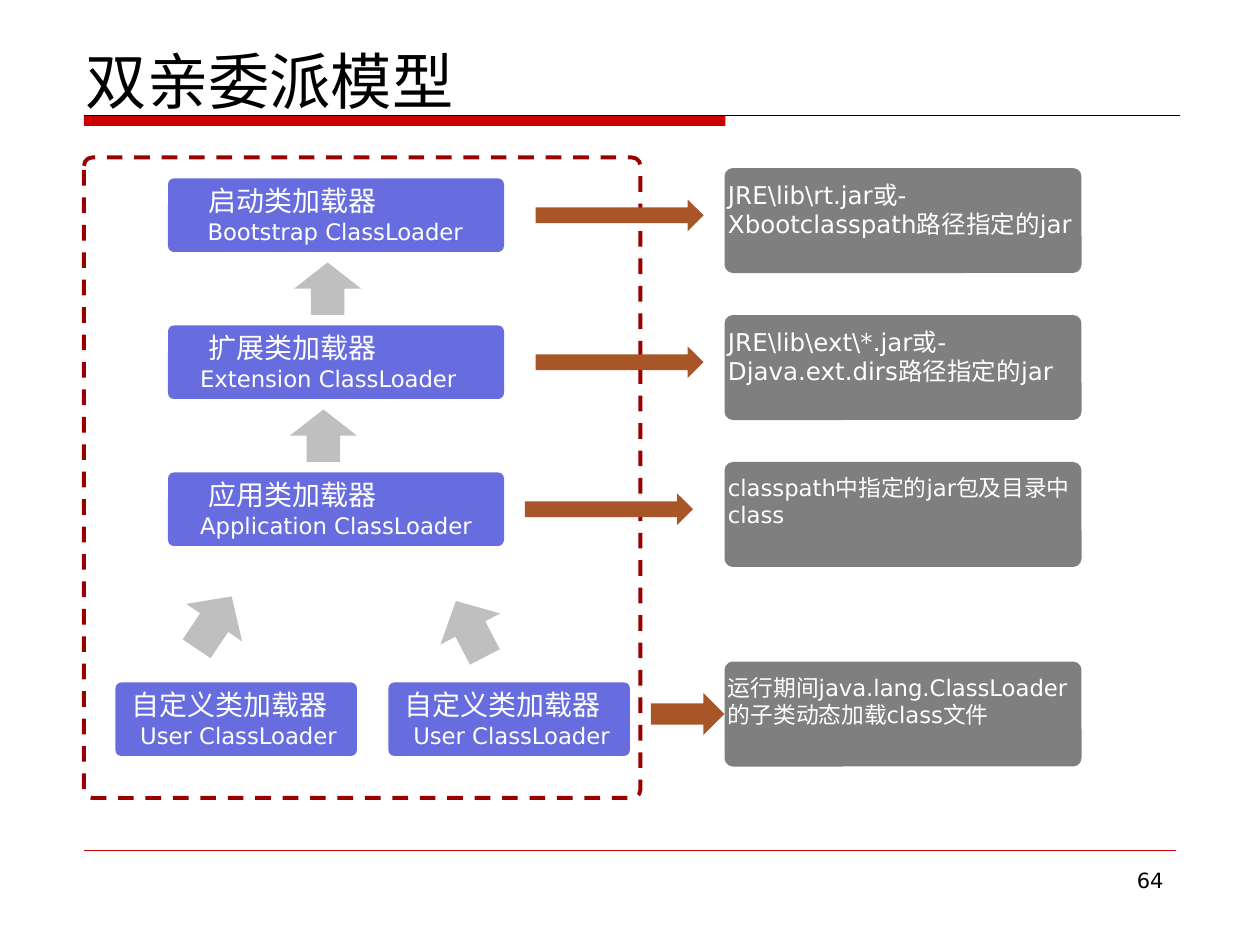
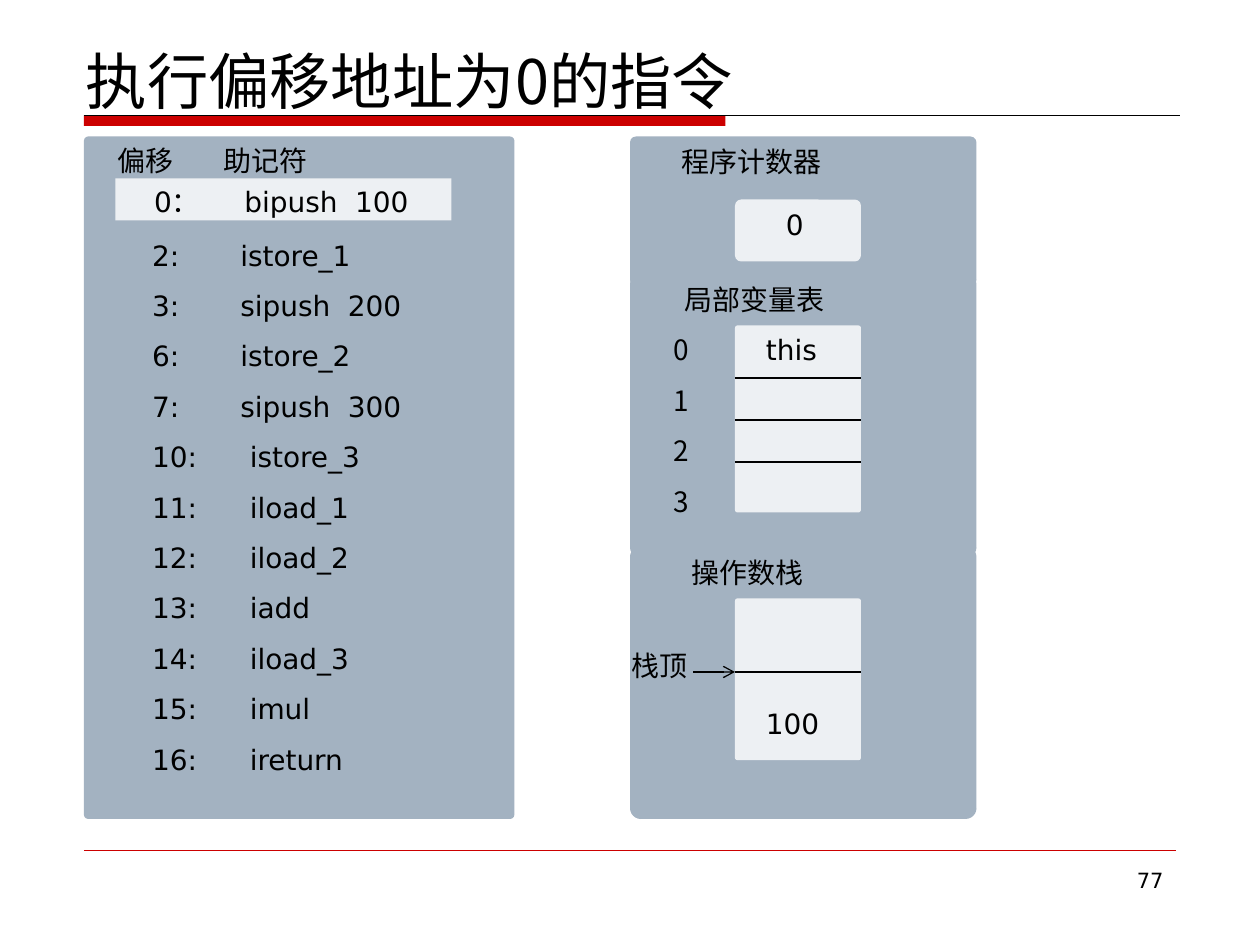
from dataclasses import dataclass

from lxml import etree
from pptx import Presentation
from pptx import util as u
from pptx.dml.color import RGBColor
from pptx.enum import dml, shapes, text
from pptx.oxml.ns import qn

COLUMNS, ROWS = 120, 90  # grid of the slide, twelve cells to the inch
SHAPE = shapes.MSO_SHAPE


@dataclass(frozen=True)
class Theme:
    black: str = "000000"
    white: str = "FFFFFF"
    red: str = "CC0000"
    dark_red: str = "990000"
    blue: str = "676DDF"
    gray: str = "7F7F7F"
    light_gray: str = "BFBFBF"
    brown: str = "A85628"
    panel: str = "A3B2C1"
    cell: str = "EDF0F3"
    latin: str = "DejaVu Sans"
    chinese: str = "Noto Sans CJK SC"
    title_size: float = 35
    body_size: float = 16
    note_size: float = 14
    small_size: float = 13
    number_size: float = 12
    row_pitch: float = 28.8


THEME = Theme()


@dataclass
class Line:
    """One paragraph; indent and tabs are in grid columns, spacing in points."""
    words: str
    size: float = THEME.body_size
    font: str = THEME.latin
    color: str = THEME.black
    indent: float = 0
    tabs: tuple = ()
    pitch: float = None
    before: float = None
    align: text.PP_ALIGN = None


def set_values(target, values):
    for name, value in values.items():
        if value is not None:
            setattr(target, name, value)


class Deck:
    def __init__(self, theme):
        self.theme = theme
        self.presentation = Presentation()
        set_values(self.presentation, {"slide_width": u.Inches(10), "slide_height": u.Inches(7.5)})
        self.slide = None

    def across(self, columns):
        return round(self.presentation.slide_width * columns / COLUMNS)

    def down(self, rows):
        return round(self.presentation.slide_height * rows / ROWS)

    def place(self, left, top, width, height):
        return self.across(left), self.down(top), self.across(width), self.down(height)

    def new_slide(self, title, number):
        """Start a slide with the shared title, bands and page number."""
        theme = self.theme
        self.slide = self.presentation.slides.add_slide(self.presentation.slide_layouts[6])
        self.shape(SHAPE.RECTANGLE, (8, 11, 61.1, 1), theme.red)
        self.line((8, 11), (112.4, 11))
        self.line((8, 81), (112, 81), theme.red, 0.25)
        self.label((7, 3, 105, 9), [Line(title, theme.title_size, theme.chinese)],
                   margins=(1.2, 0.6, 1.2, 0.85), anchor=text.MSO_ANCHOR.BOTTOM)
        self.label((86, 82, 26, 6.2),
                   [Line(number, theme.number_size, align=text.PP_ALIGN.RIGHT)])

    def shape(self, kind, box, fill=None, lines=(), corner=None, rotation=0, **frame):
        shape = self.slide.shapes.add_shape(kind, *self.place(*box))
        shape.shadow.inherit = False
        shape.rotation = rotation
        shape.line.fill.background()
        if fill:
            shape.fill.solid()
            shape.fill.fore_color.rgb = RGBColor.from_string(fill)
        else:
            shape.fill.background()
        if corner is not None:
            shape.adjustments[0] = corner
        if lines:
            self.fill_text(shape, lines, **frame)
        return shape

    def label(self, box, lines, **frame):
        textbox = self.slide.shapes.add_textbox(*self.place(*box))
        self.fill_text(textbox, lines, **frame)

    def outline(self, box, color, width, corner):
        shape = self.shape(SHAPE.ROUNDED_RECTANGLE, box, corner=corner)
        shape.line.color.rgb = RGBColor.from_string(color)
        set_values(shape.line, {"width": u.Pt(width), "dash_style": dml.MSO_LINE.DASH})

    def line(self, start, end, color=THEME.black, width=0.75, arrow=False):
        connector = self.slide.shapes.add_connector(
            shapes.MSO_CONNECTOR.STRAIGHT, self.across(start[0]), self.down(start[1]),
            self.across(end[0]), self.down(end[1]))
        connector.line.color.rgb = RGBColor.from_string(color)
        connector.line.width = u.Pt(width)
        properties = connector._element.spPr
        if arrow:
            etree.SubElement(properties.find(qn("a:ln")), qn("a:tailEnd"), type="arrow")
        etree.SubElement(properties, qn("a:effectLst"))

    def fill_text(self, shape, lines, margins=(1.2, 0.6, 1.2, 0.6),
                  anchor=text.MSO_ANCHOR.TOP, wrap=True):
        frame = shape.text_frame
        left, top, right, bottom = margins
        set_values(frame, {
            "margin_left": self.across(left), "margin_top": self.down(top),
            "margin_right": self.across(right), "margin_bottom": self.down(bottom),
            "vertical_anchor": anchor, "word_wrap": wrap})
        for index, line in enumerate(lines):
            paragraph = frame.paragraphs[0] if index == 0 else frame.add_paragraph()
            self.paragraph(paragraph, line)

    def paragraph(self, paragraph, line):
        properties = paragraph._p.get_or_add_pPr()
        if line.indent:
            properties.set("marL", str(self.across(line.indent)))
        if line.tabs:
            stops = etree.SubElement(properties, qn("a:tabLst"))
            for stop in line.tabs:
                etree.SubElement(stops, qn("a:tab"), pos=str(self.across(stop)), algn="l")
        set_values(paragraph, {
            "alignment": line.align or text.PP_ALIGN.LEFT,
            "line_spacing": line.pitch and u.Pt(line.pitch),
            "space_before": line.before and u.Pt(line.before)})
        run = paragraph.add_run()
        run.text = line.words
        set_values(run.font, {"name": line.font, "size": u.Pt(line.size)})
        run.font.color.rgb = RGBColor.from_string(line.color)
        etree.SubElement(run._r.get_or_add_rPr(), qn("a:ea"), typeface=self.theme.chinese)

    # Boxes of the class loader slide
    def loader(self, left, top, width, chinese, english, indents):
        theme = self.theme
        lines = [Line(chinese, theme.body_size, theme.chinese, theme.white, indents[0]),
                 Line(english, theme.small_size, theme.latin, theme.white, indents[1])]
        self.shape(SHAPE.ROUNDED_RECTANGLE, (left, top, width, 7), theme.blue, lines,
                   corner=0.08, margins=(0, 0.36, 0, 0))

    def source(self, top, words, size):
        line = Line(words, size, color=self.theme.white, pitch=round(size * 1.2, 1))
        self.shape(SHAPE.ROUNDED_RECTANGLE, (69, top, 34, 10), self.theme.gray, [line],
                   corner=0.08, margins=(0.1, 0.9, 0, 0))

    # Boxes of the bytecode slide
    def panel(self, box, lines, corner=0.04):
        self.shape(SHAPE.ROUNDED_RECTANGLE, box, self.theme.panel, lines, corner)

    def cell(self, top, height, words, indent=1.7, corner=0.02, **frame):
        self.shape(SHAPE.ROUNDED_RECTANGLE, (70, top, 12, height), self.theme.cell,
                   [Line(words, indent=indent)], corner, **frame)


def build_delegation(deck):
    theme = deck.theme
    deck.new_slide("双亲委派模型", "64")

    # Three built-in loaders, each with its source and the arrow to it
    levels = [
        ("启动类加载器", "Bootstrap ClassLoader", 3.6, 51,
         "JRE\\lib\\rt.jar或-Xbootclasspath路径指定的jar", theme.note_size),
        ("扩展类加载器", "Extension ClassLoader", 2.9, 51,
         "JRE\\lib\\ext\\*.jar或-Djava.ext.dirs路径指定的jar", theme.note_size),
        ("应用类加载器", "Application ClassLoader", 2.9, 50,
         "classpath中指定的jar包及目录中class", theme.small_size),
    ]
    deck.outline((8, 15, 53, 61), theme.dark_red, 2.25, 0.015)
    for level, (chinese, english, indent, arrow_left, words, size) in enumerate(levels):
        top = 17 + 14 * level
        deck.loader(16, top, 32, chinese, english, (3.7, indent))
        deck.source(top - 1, words, size)
        deck.shape(SHAPE.RIGHT_ARROW, (arrow_left, top + 2, 16, 3), theme.brown)

    # User loaders
    for left in (11, 37):
        deck.loader(left, 65, 23, "自定义类加载器", "User ClassLoader", (1.4, 2.2))
    deck.source(63, "运行期间java.lang.ClassLoader的子类动态加载class文件", theme.small_size)
    deck.shape(SHAPE.RIGHT_ARROW, (62, 66, 7, 4), theme.brown)

    # Delegation arrows to the parent loader
    for left, top, height, rotation in [(28, 25, 5, 0), (27.6, 39, 5, 0),
                                        (17.2, 56.3, 6, 33.8), (41.6, 56.9, 6, -27.4)]:
        deck.shape(SHAPE.UP_ARROW, (left, top, 6.4, height), theme.light_gray, rotation=rotation)


def build_bytecode(deck):
    theme = deck.theme
    deck.new_slide("执行偏移地址为0的指令", "77")

    # Instruction list with the current one highlighted
    instructions = [
        (2, "istore_1"), (3, "sipush  200"), (6, "istore_2"), (7, "sipush  300"),
        (10, "istore_3"), (11, "iload_1"), (12, "iload_2"), (13, "iadd"),
        (14, "iload_3"), (15, "imul"), (16, "ireturn")]
    lines = [Line("\t偏移\t助记符", font=theme.chinese, tabs=(1.9, 12))]
    for index, (offset, mnemonic) in enumerate(instructions):
        lines.append(Line(f"\t{offset}:\t{mnemonic}", tabs=(5.2, 13.6 if offset < 10 else 14.5),
                          pitch=theme.row_pitch, before=25 if index == 0 else None))
    deck.panel((8, 13, 41, 65), lines, corner=0.01)
    deck.shape(SHAPE.RECTANGLE, (11, 17, 32, 4), theme.cell,
               [Line("\t0：\tbipush  100", tabs=(2.5, 11.1), pitch=19)])

    # Program counter
    deck.panel((60, 13, 33, 14.2), [Line("程序计数器", font=theme.chinese, indent=3.6)])
    deck.cell(19, 5.9, "0", indent=3.5, corner=0.1)

    # Local variables
    slots = [Line(str(slot), font=theme.chinese, indent=2.6, pitch=theme.row_pitch)
             for slot in range(4)]
    deck.panel((60, 26, 33, 27.2),
               [Line("局部变量表", font=theme.chinese, indent=3.7), *slots])
    deck.cell(31, 17.8, "this")
    for row in (36, 40, 44):
        deck.line((70, row), (82, row))

    # Operand stack
    deck.panel((60, 52, 33, 26), [Line("操作数栈", font=theme.chinese, indent=4.4)])
    deck.cell(57, 15.4, "100", margins=(1.2, 0.6, 1.2, 1.8), anchor=text.MSO_ANCHOR.BOTTOM)
    deck.line((70, 64), (82, 64))
    deck.label((59, 61.2, 7.8, 4.4), [Line("栈顶", font=theme.chinese)], wrap=False)
    deck.line((66, 64), (70, 64), arrow=True)


def main():
    deck = Deck(THEME)
    build_delegation(deck)
    build_bytecode(deck)
    deck.presentation.save("out.pptx")


if __name__ == "__main__":
    main()
